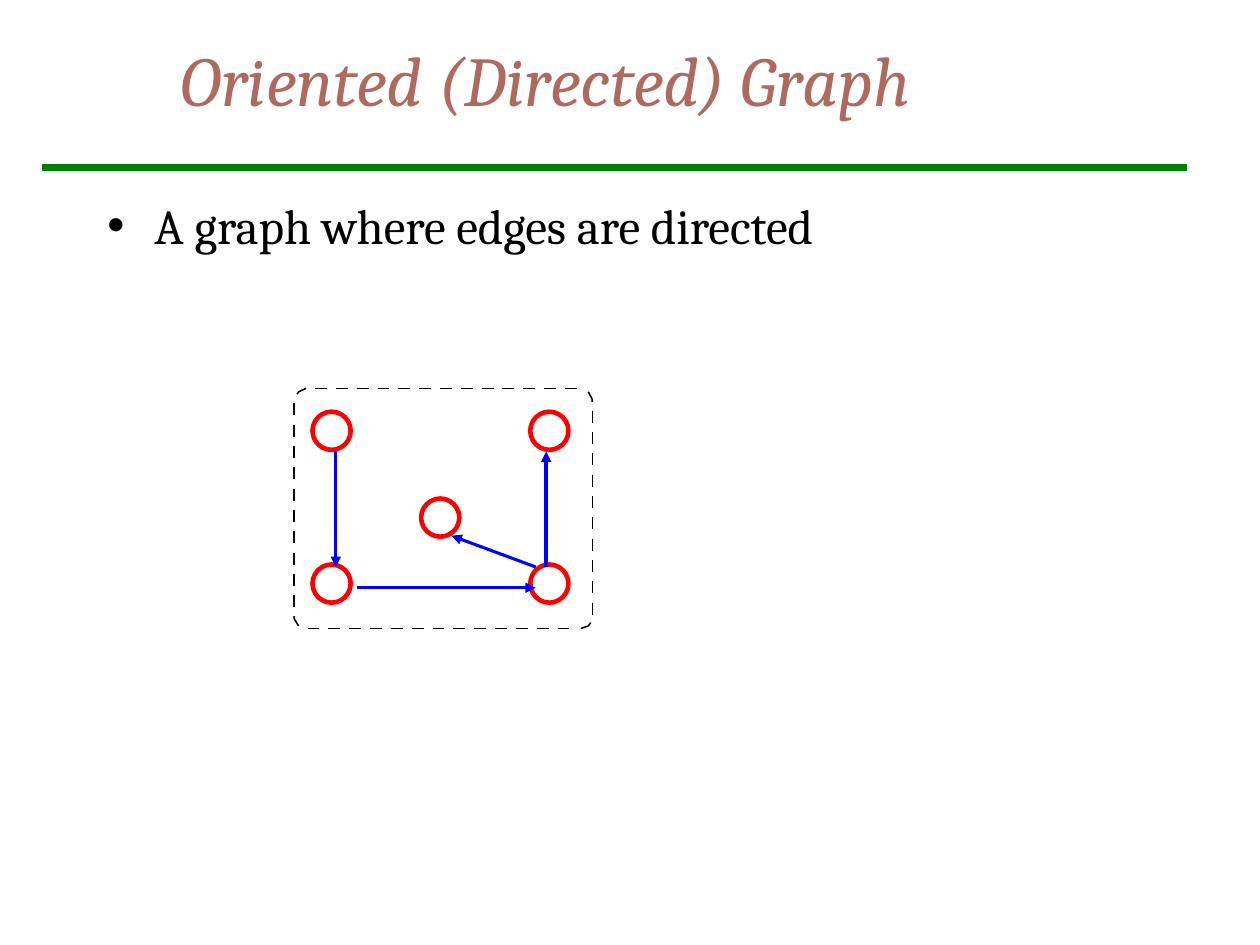
import pptx
import pptx.util
import pptx.dml.color
import pptx.enum.shapes
import pptx.enum.text
import pptx.oxml
import pptx.oxml.ns
from pptx.util import Cm

COLORS = {
    "title": "AF6A5F",
    "text": "000000",
    "rule": "008000",
    "node": "FF0000",
    "node_fill": "FFFFFF",
    "edge": "0000FF",
    "frame": "000000",
}
NODE_SIZE = 0.77
NODES = [(6.3, 8.3), (10.69, 8.3), (8.49, 10.05), (6.3, 11.38), (10.69, 11.38)]
EDGES = [
    ((6.77, 9.1), (6.77, 11.43), 1.75),
    ((7.2, 11.85), (10.8, 11.85), 1.75),
    ((10.8, 11.43), (9.1, 10.8), 1.75),
    ((11.01, 11.43), (11.01, 9.1), 2),
]
FRAME_WIDTH = 0.88
LEFT, TOP, RIGHT, BOTTOM = 5.93, 7.83, 11.94, 12.67
DASH = 0.24
ROW_STEP, ROW_COUNT = 0.42, 13
SIDE_STEP, SIDE_COUNT = 0.43, 10
ROWS = [(6.35, TOP), (6.2, BOTTOM)]
SIDES = [(LEFT, 8.13), (RIGHT, 8.28)]
CORNERS = [
    [(6.17, TOP), (6.02, 7.9), (5.99, 7.95)],
    [(LEFT, 12.42), (LEFT, 12.47), (6.02, 12.62)],
    [(11.71, BOTTOM), (11.86, 12.62), (11.91, 12.55)],
    [(RIGHT, 8.1), (RIGHT, 8.05), (11.86, 7.9)],
]


def rgb(name):
    return pptx.dml.color.RGBColor.from_string(COLORS[name])


def add_xml(parent, tag, content="", **attributes):
    values = "".join(f' {key}="{value}"' for key, value in attributes.items())
    namespace = pptx.oxml.ns.nsdecls("a")
    element = pptx.oxml.parse_xml(f"<a:{tag} {namespace}{values}>{content}</a:{tag}>")
    parent.append(element)


def place(shape, left, top, width, height):
    shape.left, shape.top = Cm(left), Cm(top)
    shape.width, shape.height = Cm(width), Cm(height)


def write_text(box, text, size, color, italic=False, bullet=None, anchor="TOP"):
    frame = box.text_frame
    frame.word_wrap = True
    frame.auto_size = pptx.enum.text.MSO_AUTO_SIZE.NONE
    frame.vertical_anchor = pptx.enum.text.MSO_ANCHOR[anchor]
    para = frame.paragraphs[0]
    para.text = text
    para.alignment = pptx.enum.text.PP_ALIGN.LEFT
    para.space_before = pptx.util.Pt(0)
    if bullet:
        properties = para._p.get_or_add_pPr()
        properties.set("marL", str(Cm(0.95)))
        properties.set("indent", str(-Cm(0.95)))
        add_xml(properties, "buClr", f'<a:srgbClr val="{COLORS[color]}"/>')
        add_xml(properties, "buChar", char=bullet)
    font = para.runs[0].font
    font.name = "Cambria"
    font.size = pptx.util.Pt(size)
    font.italic = italic
    font.color.rgb = rgb(color)


def set_line(shape, color, width):
    shape.line.color.rgb = rgb(color)
    shape.line.width = pptx.util.Pt(width)


def add_line(page, start, end, color, width, arrow=False):
    line = page.shapes.add_connector(
        pptx.enum.shapes.MSO_CONNECTOR.STRAIGHT, *map(Cm, start + end)
    )
    set_line(line, color, width)
    if arrow:
        add_xml(line.line._get_or_add_ln(), "tailEnd", type="triangle")
    add_xml(line._element.spPr, "effectLst")


def add_corner(page, points):
    start, *others = [(Cm(x), Cm(y)) for x, y in points]
    builder = page.shapes.build_freeform(*start)
    builder.add_line_segments(others, close=False)
    corner = builder.convert_to_shape()
    corner.shadow.inherit = False
    corner.fill.background()
    set_line(corner, "frame", FRAME_WIDTH)


def add_dashed_frame(page):
    for left, y in ROWS:
        for index in range(ROW_COUNT):
            x = left + index * ROW_STEP
            add_line(page, (x, y), (x + DASH, y), "frame", FRAME_WIDTH)
    for x, top in SIDES:
        for index in range(SIDE_COUNT):
            y = top + index * SIDE_STEP
            add_line(page, (x, y), (x, y + DASH), "frame", FRAME_WIDTH)
    for points in CORNERS:
        add_corner(page, points)


def add_node(page, left, top):
    node = page.shapes.add_shape(
        pptx.enum.shapes.MSO_SHAPE.OVAL, *map(Cm, (left, top, NODE_SIZE, NODE_SIZE))
    )
    node.shadow.inherit = False
    node.fill.solid()
    node.fill.fore_color.rgb = rgb("node_fill")
    set_line(node, "node", 2.64)


def main():
    deck = pptx.Presentation()
    deck.slide_width, deck.slide_height = Cm(25.4), Cm(19.05)
    page = deck.slides.add_slide(deck.slide_layouts[1])
    title, body = page.placeholders

    add_line(page, (0.84, 3.38), (23.92, 3.38), "rule", 4)
    place(title, 3.39, 0, 21.59, 3.18)
    write_text(
        title, "Oriented (Directed) Graph", 40, "title", italic=True, anchor="MIDDLE"
    )
    place(body, 1.91, 3.81, 21.59, 13.59)
    write_text(body, "A graph where edges are directed", 28, "text", bullet="•")

    add_dashed_frame(page)
    for left, top in NODES:
        add_node(page, left, top)
    for start, end, width in EDGES:
        add_line(page, start, end, "edge", width, arrow=True)

    deck.save("out.pptx")


if __name__ == "__main__":
    main()
